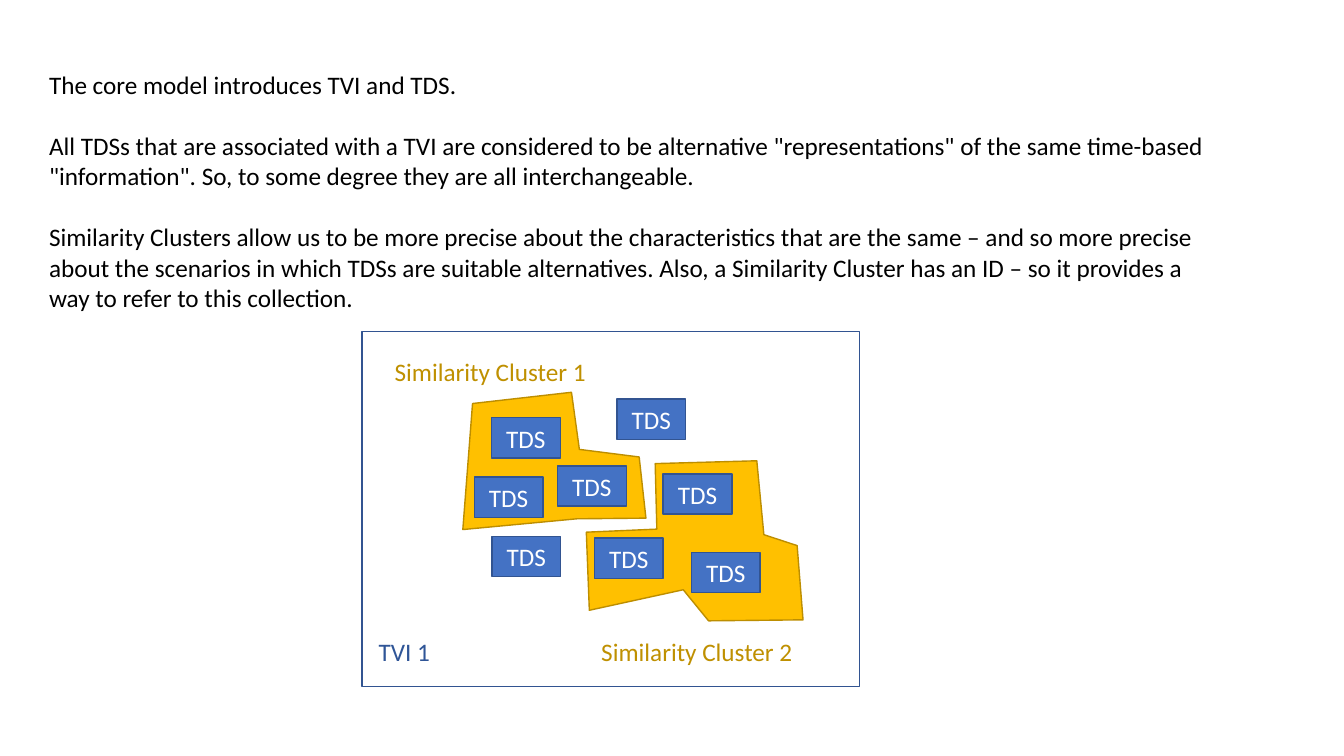
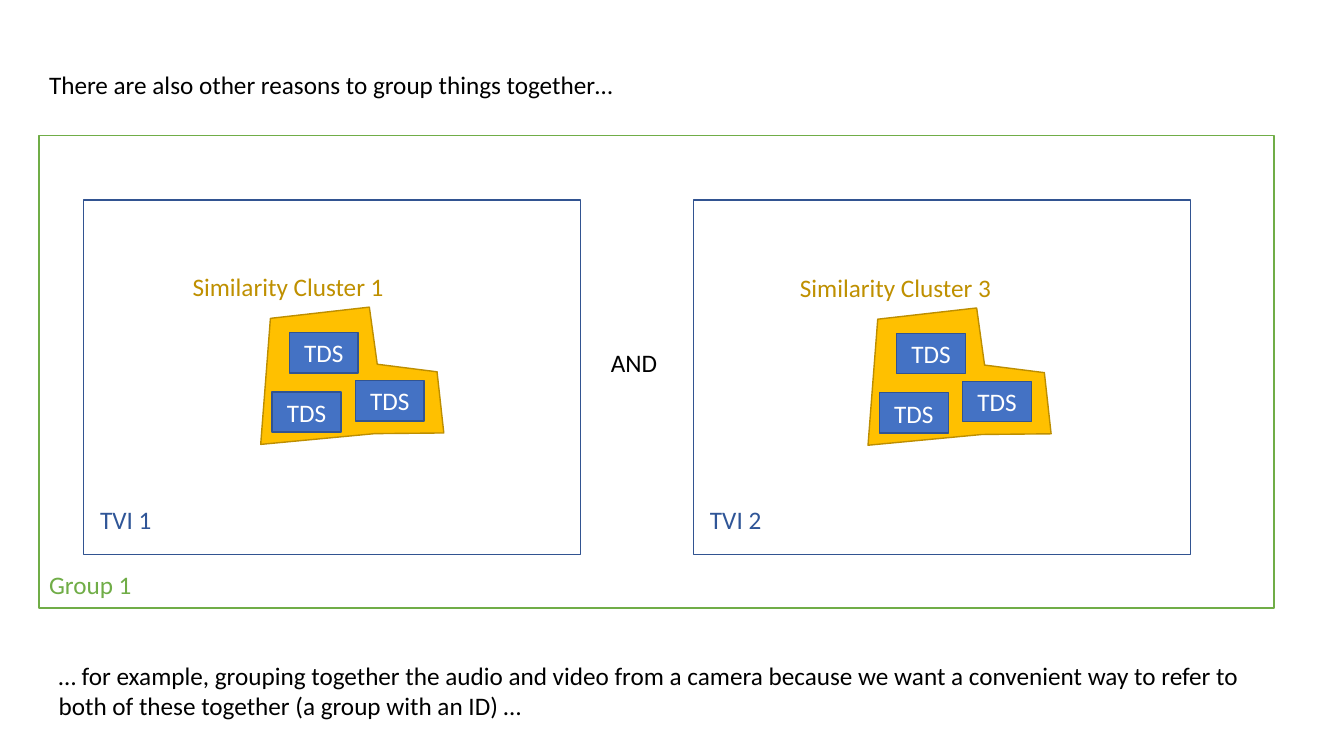
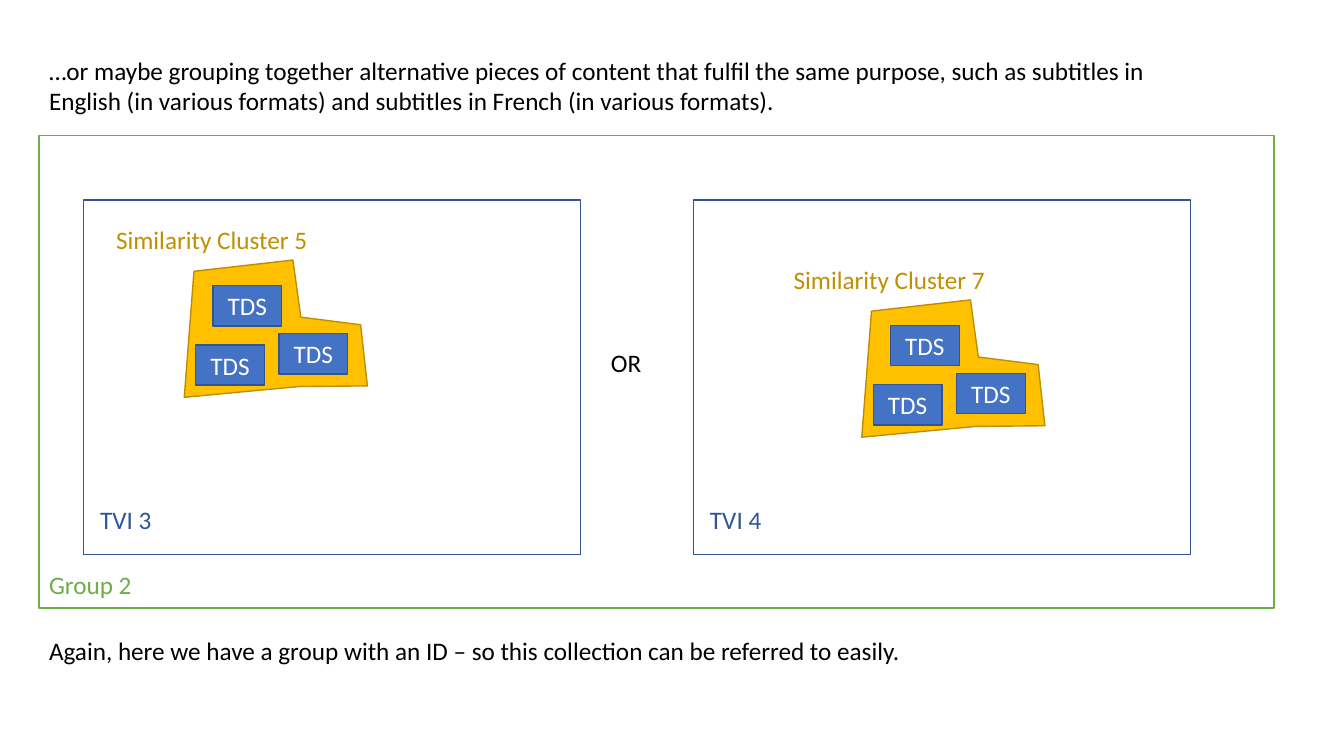
"""Build three slides on grouping TDSs into similarity clusters, TVIs and groups."""
import pptx
import pptx.util
import pptx.dml.color
import pptx.enum.shapes
import pptx.enum.text

BLACK = pptx.dml.color.RGBColor(0x00, 0x00, 0x00)
WHITE = pptx.dml.color.RGBColor(0xFF, 0xFF, 0xFF)
BLUE = pptx.dml.color.RGBColor(0x44, 0x72, 0xC4)
BLUE_EDGE = pptx.dml.color.RGBColor(0x32, 0x54, 0x91)
BLUE_LABEL = pptx.dml.color.RGBColor(0x2F, 0x55, 0x97)
GOLD = pptx.dml.color.RGBColor(0xFF, 0xC0, 0x00)
GOLD_EDGE = pptx.dml.color.RGBColor(0xBD, 0x8E, 0x00)
GOLD_LABEL = pptx.dml.color.RGBColor(0xBF, 0x90, 0x00)
GREEN = pptx.dml.color.RGBColor(0x70, 0xAD, 0x47)

deck = pptx.Presentation()
deck.slide_width = pptx.util.Inches(13.333)
deck.slide_height = pptx.util.Inches(7.5)
COLUMN, ROW = deck.slide_width / 80, deck.slide_height / 45

FONT = {"name": "Calibri", "size": pptx.util.Pt(18)}
PARAGRAPH_GAP = pptx.util.Pt(22)
LINE_ROWS = 2.42
MARGIN, BODY_COLUMNS = 2.33, 70.25
TDS_SIZE = (4.1, 2.4)
TVI_SIZE = (29.6, 21.1)
TVI_LABEL = (0.4, 17.82)
GROUP_AREA = (MARGIN, 8.05, 73.5, 28.15)

STEP_CLUSTER = {
    "outline": [(0.58, 0.67), (0, 8.17), (6.79, 7.53), (10.9, 7.49),
                (10.5, 3.85), (6.94, 3.4), (6.47, 0)],
    "members": [(1.7, 1.52), (5.63, 4.38), (0.68, 5.05)],
    "label": (-4.65, -2.42),
}
WIDE_CLUSTER = {
    "outline": [(4.1, 0.17), (4.2, 4.07), (0, 4.25), (0.18, 8.9), (5.77, 7.68),
                (7.28, 9.53), (12.9, 9.47), (12.55, 5.05), (10.57, 4.4), (10.15, 0)],
    "members": [(4.57, 0.78), (0.48, 4.6), (6.25, 5.45)],
    "label": (0.3, 10.13),
}

STORY = [
    {
        "passages": [((MARGIN, 3.83, BODY_COLUMNS, 15.12), [
            "The core model introduces TVI and TDS.",
            "All TDSs that are associated with a TVI are considered to be alternative "
            "\"representations\" of the same time-based \"information\". So, to some "
            "degree they are all interchangeable.",
            "Similarity Clusters allow us to be more precise about the characteristics "
            "that are the same – and so more precise about the scenarios in which TDSs "
            "are suitable alternatives. Also, a Similarity Cluster has an ID – so it "
            "provides a way to refer to this collection.",
        ])],
        "tvis": [("TVI 1", 21.55, 19.75)],
        "clusters": [("Similarity Cluster 1", STEP_CLUSTER, 27.55, 23.35),
                     ("Similarity Cluster 2", WIDE_CLUSTER, 34.9, 27.43)],
        "loose_tds": [(36.72, 23.75), (29.28, 31.93)],
    },
    {
        "passages": [
            ((MARGIN, 3.83, BODY_COLUMNS, LINE_ROWS),
             ["There are also other reasons to group things together…"]),
            ((2.9, 39, 74.6, 4.23),
             ["… for example, grouping together the audio and video from a camera because "
              "we want a convenient way to refer to both of these together (a group with "
              "an ID) …"]),
        ],
        "group": ("Group 1", "AND", 4),
        "tvis": [("TVI 1", 4.97, 11.9), ("TVI 2", 41.27, 11.9)],
        "clusters": [("Similarity Cluster 1", STEP_CLUSTER, 15.52, 18.28),
                     ("Similarity Cluster 3", STEP_CLUSTER, 51.67, 18.33)],
    },
    {
        "passages": [
            ((MARGIN, 3, BODY_COLUMNS, 4.23),
             ["…or maybe grouping together alternative pieces of content that fulfil the "
              "same purpose, such as subtitles in English (in various formats) and "
              "subtitles in French (in various formats)."]),
            ((MARGIN, 37.5, BODY_COLUMNS, LINE_ROWS),
             ["Again, here we have a group with an ID – so this collection can be "
              "referred to easily."]),
        ],
        "group": ("Group 2", "OR", 3.05),
        "tvis": [("TVI 3", 4.97, 11.9), ("TVI 4", 41.27, 11.9)],
        "clusters": [("Similarity Cluster 5", STEP_CLUSTER, 10.97, 15.48),
                     ("Similarity Cluster 7", STEP_CLUSTER, 51.3, 17.85)],
    },
]


def add_words(slide, area, paragraphs, color, wrap=False):
    left, top, width, height = area
    words = slide.shapes.add_textbox(
        round(left * COLUMN), round(top * ROW), round(width * COLUMN), round(height * ROW)).text_frame
    words.word_wrap = wrap
    words.auto_size = pptx.enum.text.MSO_AUTO_SIZE.SHAPE_TO_FIT_TEXT
    words.text = "\n".join(paragraphs)
    for paragraph in words.paragraphs:
        for key, value in FONT.items():
            setattr(paragraph.runs[0].font, key, value)
        paragraph.runs[0].font.color.rgb = color
    for paragraph in words.paragraphs[:-1]:
        paragraph.space_after = PARAGRAPH_GAP


def add_box(slide, area, edge, fill=None, caption=None):
    left, top, width, height = area
    box = slide.shapes.add_shape(
        pptx.enum.shapes.MSO_SHAPE.RECTANGLE,
        round(left * COLUMN), round(top * ROW), round(width * COLUMN), round(height * ROW))
    box.shadow.inherit = False
    box.line.color.rgb = edge
    box.line.width = pptx.util.Pt(1)
    if fill is None:
        box.fill.background()
    else:
        box.fill.solid()
        box.fill.fore_color.rgb = fill
    if caption:
        box.text_frame.text = caption
        box.text_frame.vertical_anchor = pptx.enum.text.MSO_ANCHOR.MIDDLE
        line = box.text_frame.paragraphs[0]
        line.alignment = pptx.enum.text.PP_ALIGN.CENTER
        for key, value in FONT.items():
            setattr(line.runs[0].font, key, value)
        line.runs[0].font.color.rgb = WHITE


for scene in STORY:
    slide = deck.slides.add_slide(deck.slide_layouts[6])

    if "group" in scene:
        group_name, relation, relation_columns = scene["group"]
        add_box(slide, GROUP_AREA, GREEN, WHITE)
        add_words(slide, (MARGIN, 33.6, 6.2, LINE_ROWS), [group_name], GREEN)
        add_words(slide, (35.77, 20.35, relation_columns, LINE_ROWS), [relation], BLACK)

    for area, paragraphs in scene["passages"]:
        add_words(slide, area, paragraphs, BLACK, wrap=True)

    for tvi_name, left, top in scene["tvis"]:
        add_box(slide, (left, top, *TVI_SIZE), BLUE_EDGE)
        add_words(slide, (left + TVI_LABEL[0], top + TVI_LABEL[1], 4.3, LINE_ROWS),
                  [tvi_name], BLUE_LABEL)

    tds_spots = list(scene.get("loose_tds", []))
    for cluster_name, cluster, left, top in reversed(scene["clusters"]):
        corners = [(round((left + x) * COLUMN), round((top + y) * ROW))
                   for x, y in cluster["outline"]]
        builder = slide.shapes.build_freeform(*corners[0])
        builder.add_line_segments(corners[1:], close=True)
        region = builder.convert_to_shape()
        region.shadow.inherit = False
        region.fill.solid()
        region.fill.fore_color.rgb = GOLD
        region.line.color.rgb = GOLD_EDGE
        region.line.width = pptx.util.Pt(1)
        label_x, label_y = cluster["label"]
        add_words(slide, (left + label_x, top + label_y, 12.7, LINE_ROWS),
                  [cluster_name], GOLD_LABEL)
        tds_spots += [(left + x, top + y) for x, y in cluster["members"]]

    for spot in tds_spots:
        add_box(slide, (*spot, *TDS_SIZE), BLUE_EDGE, BLUE, "TDS")

deck.save("out.pptx")
